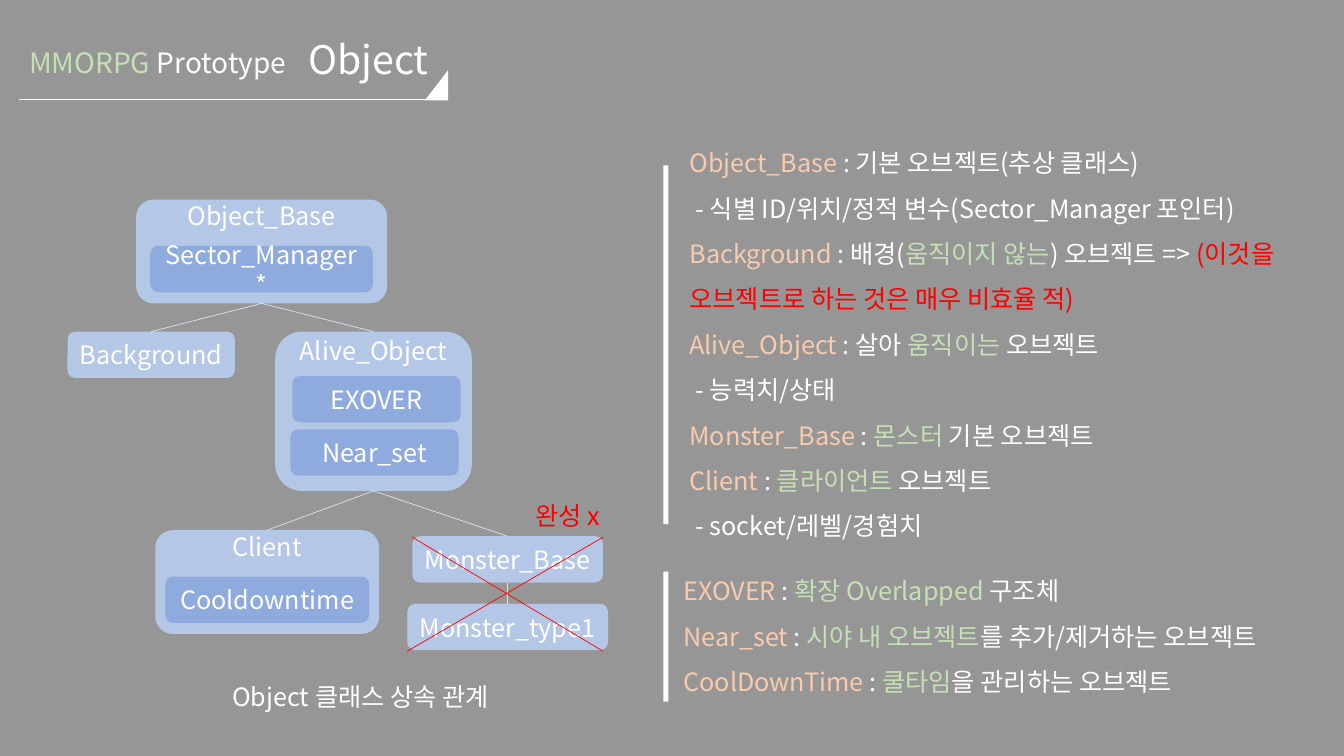
from dataclasses import dataclass
from typing import NamedTuple

from lxml import etree
from pptx import Presentation
from pptx import util as u
from pptx.dml.color import RGBColor
from pptx.enum import shapes, text
from pptx.oxml import ns

FONT = "Noto Sans CJK KR"
GRAY = RGBColor(0x96, 0x96, 0x96)
WHITE = RGBColor(0xFF, 0xFF, 0xFF)
GREEN = RGBColor(0xC5, 0xE0, 0xB4)
PEACH = RGBColor(0xF8, 0xCB, 0xAD)
RED = RGBColor(0xFF, 0x00, 0x00)
CLASS_BLUE = RGBColor(0xB4, 0xC7, 0xE7)
MEMBER_BLUE = RGBColor(0x8F, 0xAA, 0xDC)
LINK_BLUE = RGBColor(0xDA, 0xE3, 0xF3)


class Area(NamedTuple):
    left: float
    top: float
    width: float
    height: float


class Span(NamedTuple):
    words: str
    color: RGBColor = WHITE


@dataclass(frozen=True)
class Line:
    spans: tuple[Span, ...]
    indent: float = 0


@dataclass(frozen=True)
class Node:
    label: str
    area: Area
    fill: RGBColor = CLASS_BLUE
    holds_members: bool = False


@dataclass(frozen=True)
class Notes:
    bar: Area
    area: Area
    lines: tuple[Line, ...]


def line(*spans: Span, indent: float = 0) -> Line:
    return Line(spans, indent)


NODES = (
    Node("Object_Base", Area(1.35, 1.98, 2.49, 1.03), holds_members=True),
    Node("Sector_Manager*", Area(1.49, 2.44, 2.21, 0.46), MEMBER_BLUE),
    Node("Background", Area(0.67, 3.29, 1.66, 0.46)),
    Node("Alive_Object", Area(2.73, 3.29, 1.95, 1.58), holds_members=True),
    Node("EXOVER", Area(2.9, 3.73, 1.67, 0.46), MEMBER_BLUE),
    Node("Near_set", Area(2.88, 4.26, 1.67, 0.46), MEMBER_BLUE),
    Node("Client", Area(1.54, 5.26, 2.22, 1.03), holds_members=True),
    Node("Cooldowntime", Area(1.64, 5.72, 2.02, 0.46), MEMBER_BLUE),
    Node("Monster_Base", Area(4.09, 5.32, 1.89, 0.46)),
    Node("Monster_type1", Area(4.04, 5.99, 1.99, 0.46)),
)
INHERITANCE = (
    ("Object_Base", "Background"),
    ("Object_Base", "Alive_Object"),
    ("Alive_Object", "Client"),
    ("Alive_Object", "Monster_Base"),
    ("Monster_Base", "Monster_type1"),
)
CROSS_OUT = ((4.09, 5.33, 5.98, 6.46), (4.04, 6.46, 5.98, 5.33))
NOTES = (
    Notes(Area(6.58, 1.64, 0.05, 3.56), Area(6.74, 1.24, 6.48, 4.2), (
        line(Span("Object_Base ", PEACH), Span(": 기본 오브젝트(추상 클래스)")),
        line(Span("- 식별 ID/위치/정적 변수(Sector_Manager 포인터)"), indent=0.06),
        line(Span("Background", PEACH), Span(" : 배경("), Span("움직이지 않는", GREEN),
             Span(") 오브젝트 => "),
             Span("(이것을 오브젝트로 하는 것은 매우 비효율 적)", RED)),
        line(Span("Alive_Object ", PEACH), Span(": 살아 "),
             Span("움직이는", GREEN), Span(" 오브젝트")),
        line(Span("- 능력치/상태"), indent=0.06),
        line(Span("Monster_Base", PEACH), Span(" : "),
             Span("몬스터", GREEN), Span(" 기본 오브젝트")),
        line(Span("Client ", PEACH), Span(": "),
             Span("클라이언트", GREEN), Span(" 오브젝트")),
        line(Span("- socket/레벨/경험치"), indent=0.06),
    )),
    Notes(Area(6.58, 5.67, 0.05, 1.29), Area(6.68, 5.51, 6.48, 1.45), (
        line(Span("EXOVER", PEACH), Span(" : "),
             Span("확장 Overlapped ", GREEN), Span("구조체")),
        line(Span("Near_set ", PEACH), Span(": "),
             Span("시야 내 오브젝트", GREEN), Span("를 추가/제거하는 오브젝트")),
        line(Span("CoolDownTime ", PEACH), Span(": "),
             Span("쿨타임", GREEN), Span("을 관리하는 오브젝트")),
    )),
)


def inches(area: Area) -> list[u.Length]:
    return [u.Inches(length) for length in area]


def fill_paragraph(paragraph, content: Line, size: float = 18,
                   align=text.PP_ALIGN.LEFT, spacing: float = 1) -> None:
    paragraph.alignment = align
    paragraph.line_spacing = spacing
    properties = paragraph._p.get_or_add_pPr()
    if content.indent:
        properties.set("marL", str(u.Inches(content.indent)))
    paragraph.font.size = u.Pt(size)
    paragraph.font.name = FONT
    defaults = properties.find(ns.qn("a:defRPr"))
    etree.SubElement(defaults, ns.qn("a:ea")).set("typeface", FONT)
    colors = {span.color for span in content.spans}
    if len(colors) == 1:
        paragraph.font.color.rgb = colors.pop()
    for span in content.spans:
        run = paragraph.add_run()
        run.text = span.words
        if len(content.spans) > 1:
            run.font.color.rgb = span.color


def add_text(slide, area: Area, lines: tuple[Line, ...], size: float = 18,
             align=text.PP_ALIGN.LEFT, spacing: float = 1,
             anchor=text.MSO_ANCHOR.MIDDLE) -> None:
    frame = slide.shapes.add_textbox(*inches(area)).text_frame
    frame.word_wrap = True
    frame.vertical_anchor = anchor
    for index, content in enumerate(lines):
        paragraph = frame.add_paragraph() if index else frame.paragraphs[0]
        fill_paragraph(paragraph, content, size, align, spacing)


def add_block(slide, kind, area: Area, color: RGBColor):
    block = slide.shapes.add_shape(kind, *inches(area))
    block.shadow.inherit = False
    block.fill.solid()
    block.fill.fore_color.rgb = color
    block.line.fill.background()
    return block


def add_node(slide, node: Node):
    block = add_block(slide, shapes.MSO_SHAPE.ROUNDED_RECTANGLE, node.area, node.fill)
    frame = block.text_frame
    frame.word_wrap = True
    frame.vertical_anchor = text.MSO_ANCHOR.MIDDLE
    if node.holds_members:
        frame.vertical_anchor = text.MSO_ANCHOR.TOP
        frame.margin_top = u.Inches(-0.04)
    fill_paragraph(frame.paragraphs[0], line(Span(node.label)), align=text.PP_ALIGN.CENTER)
    return block


def add_line(slide, ends: tuple[float, float, float, float], color: RGBColor):
    stroke = slide.shapes.add_connector(
        shapes.MSO_CONNECTOR.STRAIGHT, *[u.Inches(end) for end in ends])
    stroke.line.color.rgb = color
    stroke.line.width = u.Pt(0.5)
    etree.SubElement(stroke._element.spPr, ns.qn("a:effectLst"))
    return stroke


def main() -> None:
    deck = Presentation()
    deck.slide_width, deck.slide_height = u.Inches(13.33), u.Inches(7.5)
    slide = deck.slides.add_slide(deck.slide_layouts[6])
    slide.background.fill.solid()
    slide.background.fill.fore_color.rgb = GRAY

    add_text(slide, Area(0.19, 0.4, 2.77, 0.44),
             (line(Span("MMORPG ", GREEN), Span("Prototype")),), 20,
             anchor=text.MSO_ANCHOR.TOP)
    add_text(slide, Area(2.96, 0.17, 2.49, 0.89), (line(Span("Object")),), 28, spacing=0.9)
    add_line(slide, (0.19, 0.99, 4.44, 0.99), WHITE)
    corner = add_block(slide, shapes.MSO_SHAPE.RIGHT_TRIANGLE, Area(4.18, 0.73, 0.3, 0.23), WHITE)
    corner.rotation = 270

    blocks = {node.label: add_node(slide, node) for node in NODES}
    for parent, child in INHERITANCE:
        link = add_line(slide, (0, 0, 0, 0), LINK_BLUE)
        link.begin_connect(blocks[parent], 2)
        link.end_connect(blocks[child], 0)
    for ends in CROSS_OUT:
        add_line(slide, ends, RED)
    add_text(slide, Area(4.74, 4.91, 1.78, 0.4), (line(Span("완성 x", RED)),),
             align=text.PP_ALIGN.CENTER, anchor=text.MSO_ANCHOR.TOP)
    add_text(slide, Area(1.93, 6.62, 3.29, 0.57), (line(Span("Object 클래스 상속 관계")),),
             align=text.PP_ALIGN.CENTER)

    for notes in NOTES:
        add_block(slide, shapes.MSO_SHAPE.RECTANGLE, notes.bar, WHITE)
        add_text(slide, notes.area, notes.lines, spacing=1.5)
    deck.save("out.pptx")


if __name__ == "__main__":
    main()
